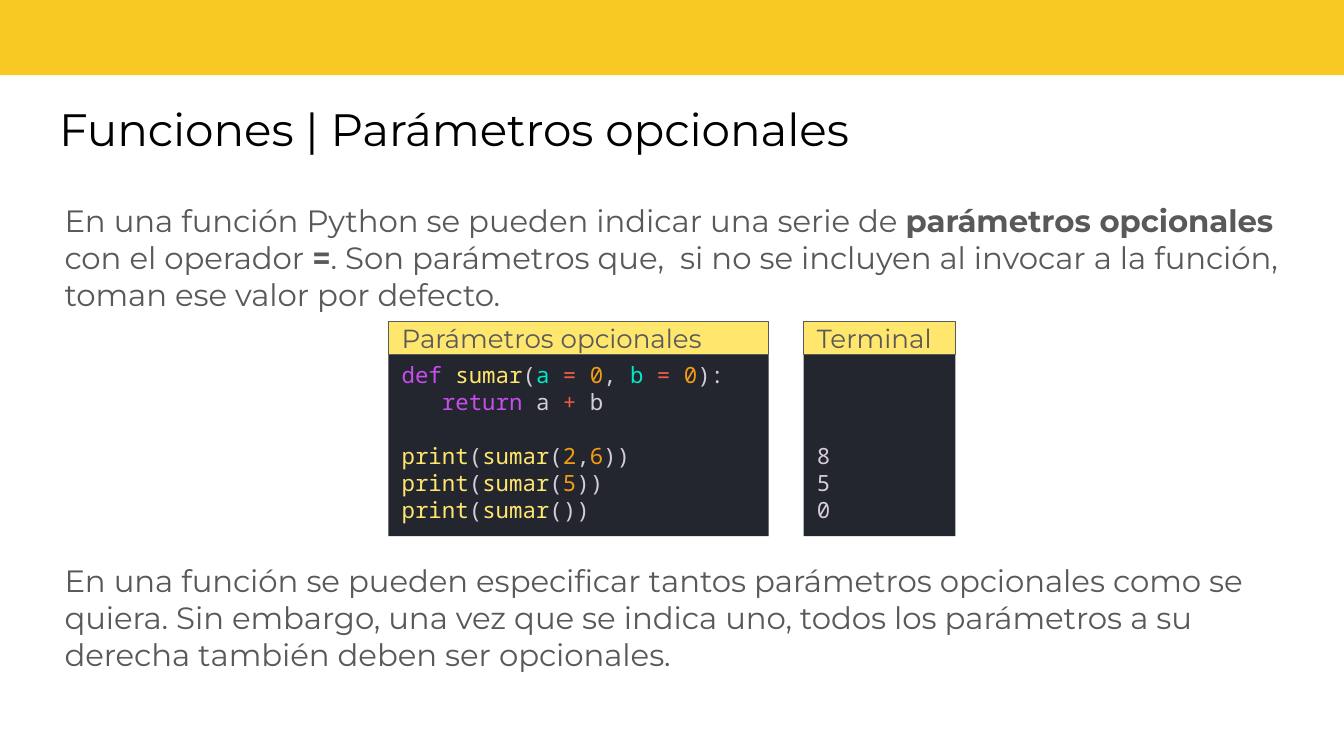
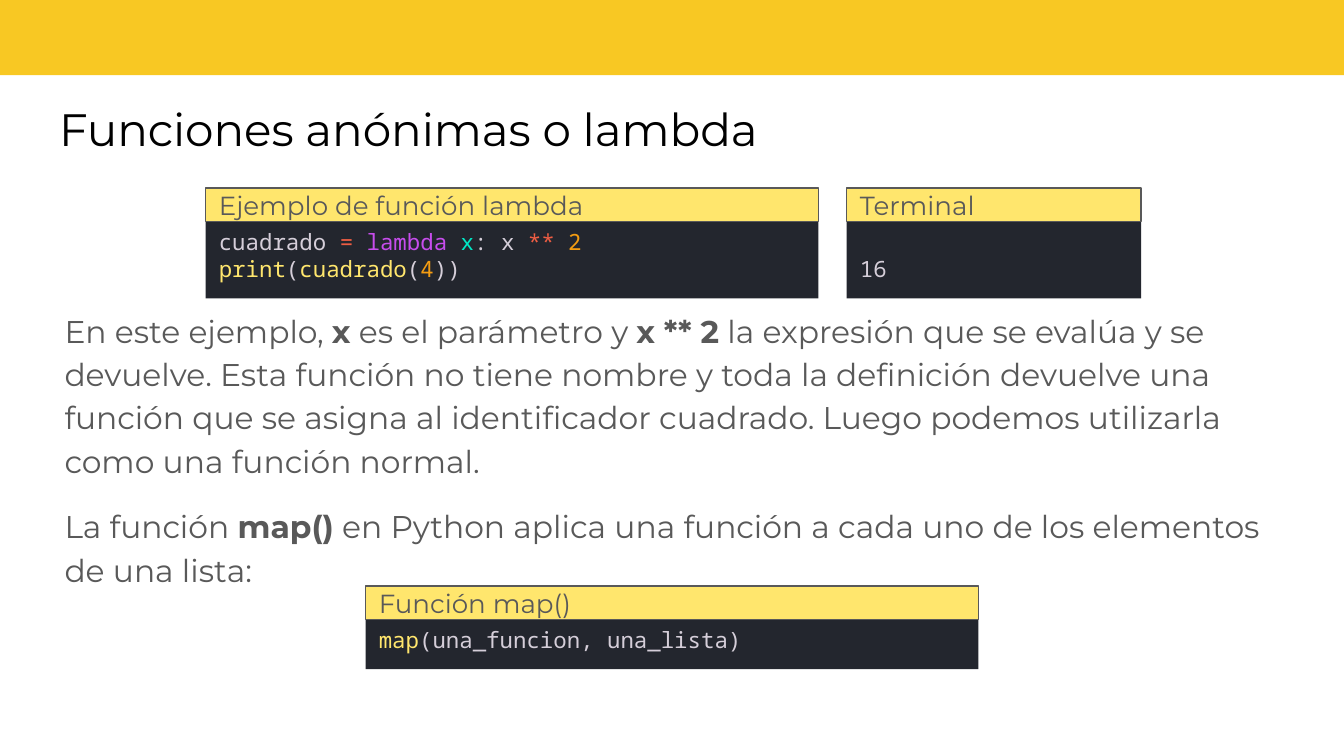
from pptx import Presentation
from pptx.dml.color import RGBColor
from pptx.enum.shapes import MSO_SHAPE as Preset
from pptx.enum.text import MSO_ANCHOR as Anchor, MSO_AUTO_SIZE as AutoSize, PP_ALIGN as Align
from pptx.util import Inches, Pt

SANS, MONO = "Montserrat", "Noto Sans Mono"
BAND, HEADER, PANEL = "F8C823", "FFE66D", "23262E"
BLACK, GREY = "000000", "595959"
KEYWORD, NAME, PLAIN = "C74DED", "FFE66D", "D5CED9"
PARAM, SIGN, NUMBER = "00E8C6", "EE5D43", "F39C12"
SLIDE_WIDTH = 10
SLIDE_HEIGHT = SLIDE_WIDTH * 9 / 16
HEADER_HEIGHT = 0.25
CODE_LINE = 0.2
CODE_INDENT = 0.3


def color(value):
    return RGBColor.from_string(value)


def add_span(para, text, font, size, fill, bold=False):
    span = para.add_run()
    span.text = text
    span.font.name = font
    span.font.size = Pt(size)
    span.font.bold = bold
    span.font.color.rgb = color(fill)


def format_frame(frame, insets, anchor=Anchor.TOP):
    frame.word_wrap = True
    frame.auto_size = AutoSize.NONE
    frame.vertical_anchor = anchor
    frame.margin_left = frame.margin_right = Inches(insets[0])
    frame.margin_top, frame.margin_bottom = Inches(insets[1]), Inches(insets[2])


def add_para(frame, index):
    para = frame.add_paragraph() if index else frame.paragraphs[0]
    para.alignment = Align.LEFT
    return para


def add_box(page, left, top, width, height, fill, line=None):
    box = page.shapes.add_shape(
        Preset.RECTANGLE, Inches(left), Inches(top), Inches(width), Inches(height))
    box.shadow.inherit = False
    box.fill.solid()
    box.fill.fore_color.rgb = color(fill)
    if line:
        box.line.color.rgb = color(line)
        box.line.width = Pt(0.75)
    else:
        box.line.fill.background()
    return box


def add_page(deck, heading):
    page = deck.slides.add_slide(deck.slide_layouts[5])
    add_box(page, -0.01, -0.05, 10.03, 0.61, BAND)
    title = page.shapes.title
    title.left, title.top = Inches(0.34), Inches(0.65)
    title.width, title.height = Inches(9.3), Inches(0.63)
    format_frame(title.text_frame, (0.1, 0.1, 0.1))
    add_span(add_para(title.text_frame, 0), heading, SANS, 24.3, BLACK)
    return page


def add_body(page, top, height, size, paragraphs, line_spacing=None, gap=0):
    box = page.shapes.add_textbox(Inches(0.48), Inches(top), Inches(9.05), Inches(height))
    format_frame(box.text_frame, (0, 0.1, 0.1))
    for index, spans in enumerate(paragraphs):
        para = add_para(box.text_frame, index)
        if line_spacing:
            para.line_spacing = line_spacing
        if index:
            para.space_before = Pt(gap)
        for text, bold in spans:
            add_span(para, text, SANS, size, GREY, bold)


def add_panel(page, left, top, width, height, heading, lines, skip=0, gaps=(), indents=()):
    panel = add_box(page, left, top + HEADER_HEIGHT, width, height, PANEL)
    format_frame(panel.text_frame, (0.1, 0.05 + skip * CODE_LINE, 0.05))
    for index, spans in enumerate(lines):
        para = add_para(panel.text_frame, index)
        if index in gaps:
            para.space_before = Inches(CODE_LINE)
        if index in indents:
            para._p.get_or_add_pPr().set("marL", str(Inches(CODE_INDENT)))
        for text, fill in spans:
            add_span(para, text, MONO, 12, fill)
    header = add_box(page, left, top, width, HEADER_HEIGHT, HEADER, GREY)
    format_frame(header.text_frame, (0.1, 0.05, 0.05), Anchor.MIDDLE)
    add_span(add_para(header.text_frame, 0), heading, SANS, 14, GREY)


def add_terminal(page, left, top, width, height, results, skip):
    lines = [[(result, PLAIN)] for result in results]
    add_panel(page, left, top, width, height, "Terminal", lines, skip)


def default_param(name):
    return [(name, PARAM), (" ", PLAIN), ("=", SIGN), (" ", PLAIN), ("0", NUMBER)]


def print_call(name, *numbers):
    spans = [("print", NAME), ("(", PLAIN), (name, NAME)]
    if not numbers:
        return spans + [("())", PLAIN)]
    spans.append(("(", PLAIN))
    for index, number in enumerate(numbers):
        if index:
            spans.append((",", PLAIN))
        spans.append((number, NUMBER))
    return spans + [("))", PLAIN)]


def build_optional_params(deck):
    page = add_page(deck, "Funciones | Parámetros opcionales")
    add_body(page, 1.4, 3.58, 16.5, [[
        ("En una función Python se pueden indicar una serie de ", False),
        ("parámetros opcionales", True),
        (" con el operador ", False),
        ("=", True),
        (". Son parámetros que,  si no se incluyen al invocar a la función, "
         "toman ese valor por defecto.", False),
    ]])
    code = [
        [("def", KEYWORD), (" ", PLAIN), ("sumar", NAME), ("(", PLAIN),
         *default_param("a"), (", ", PLAIN), *default_param("b"), ("):", PLAIN)],
        [("return", KEYWORD), (" a ", PLAIN), ("+", SIGN), (" b", PLAIN)],
        print_call("sumar", "2", "6"),
        print_call("sumar", "5"),
        print_call("sumar"),
    ]
    add_panel(page, 2.89, 2.39, 2.83, 1.35, "Parámetros opcionales", code,
              gaps=(2,), indents=(1,))
    add_terminal(page, 5.98, 2.39, 1.13, 1.35, ["8", "5", "0"], skip=3)
    add_body(page, 4.08, 0.95, 16.5, [[
        ("En una función se pueden especificar tantos parámetros opcionales como se quiera. "
         "Sin embargo, una vez que se indica uno, todos los parámetros a su derecha "
         "también deben ser opcionales.", False),
    ]])


def build_lambda(deck):
    page = add_page(deck, "Funciones anónimas o lambda")
    add_body(page, 2.18, 2.8, 16.8, [
        [("En este ejemplo, ", False), ("x", True), (" es el parámetro y ", False),
         ("x ** 2", True),
         (" la expresión que se evalúa y se devuelve. Esta función no tiene nombre y toda "
          "la definición devuelve una función que se asigna al identificador cuadrado. "
          "Luego podemos utilizarla como una función normal.", False)],
        [("La función ", False), ("map()", True),
         (" en Python aplica una función a cada uno de los elementos de una lista:", False)],
    ], line_spacing=1.15, gap=12)
    code = [
        [("cuadrado ", PLAIN), ("=", SIGN), (" ", PLAIN), ("lambda", KEYWORD), (" ", PLAIN),
         ("x", PARAM), (": x ", PLAIN), ("**", SIGN), (" ", PLAIN), ("2", NUMBER)],
        print_call("cuadrado", "4"),
    ]
    add_panel(page, 1.53, 1.4, 4.56, 0.57, "Ejemplo de función lambda", code)
    add_terminal(page, 6.3, 1.4, 2.19, 0.57, ["16"], skip=1)
    add_panel(page, 2.72, 4.36, 4.56, 0.37, "Función map()",
              [[("map", NAME), ("(una_funcion, una_lista)", PLAIN)]])


def main():
    deck = Presentation()
    deck.slide_width, deck.slide_height = Inches(SLIDE_WIDTH), Inches(SLIDE_HEIGHT)
    build_optional_params(deck)
    build_lambda(deck)
    deck.save("out.pptx")


if __name__ == "__main__":
    main()
